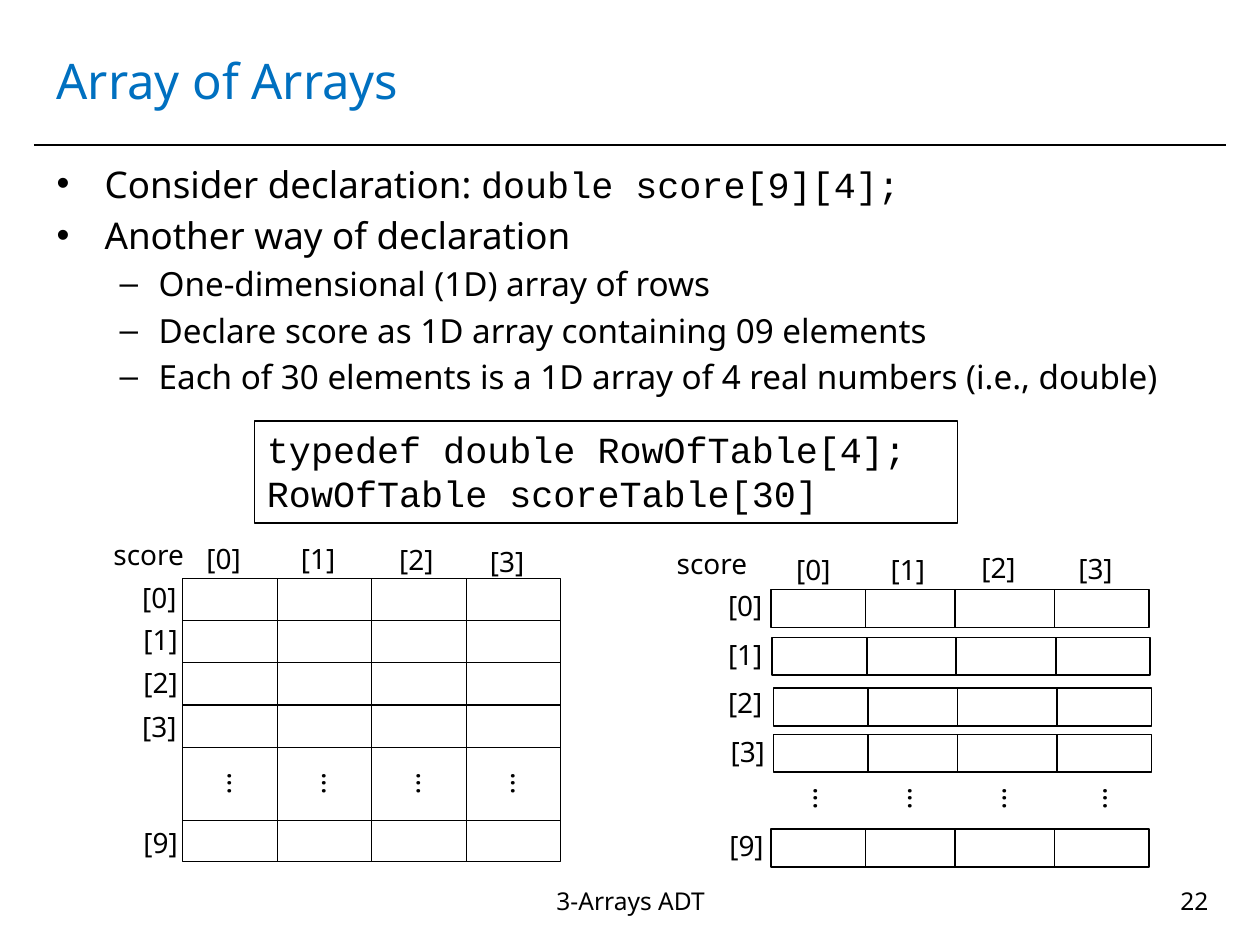
import pptx
import pptx.dml.color
import pptx.enum.shapes
import pptx.enum.text
import pptx.oxml
import pptx.oxml.ns
import pptx.util
from dataclasses import dataclass
from typing import Any, Optional

Inches = pptx.util.Inches
Pt = pptx.util.Pt
Align = pptx.enum.text.PP_ALIGN
Anchor = pptx.enum.text.MSO_ANCHOR


@dataclass(frozen=True)
class Theme:
    ink: pptx.dml.color.RGBColor = pptx.dml.color.RGBColor(0, 0, 0)
    accent: pptx.dml.color.RGBColor = pptx.dml.color.RGBColor(0x00, 0x70, 0xC0)
    sans: str = "Noto Sans"
    mono: str = "Courier New"
    title: float = 28
    body: float = 21
    detail: float = 19
    label: float = 16
    footer: float = 14
    thin: float = 0.75
    rule: float = 1


@dataclass(frozen=True)
class Label:
    text: str
    left: float
    top: float
    width: float = 0.51
    height: float = 0.37
    size: float = 16
    align: Any = Align.LEFT
    rotation: float = 0


@dataclass(frozen=True)
class Strip:
    left: float
    top: float


@dataclass(frozen=True)
class Bullet:
    level: int
    text: str
    code: str = ""


THEME = Theme()


def apply(target: Any, values: dict[str, Any]) -> None:
    for attribute, value in values.items():
        setattr(target, attribute, value)


def place(item: Any, left: float, top: float, width: float, height: float) -> None:
    apply(item, {"left": Inches(left), "top": Inches(top),
                 "width": Inches(width), "height": Inches(height)})


def write(paragraph: Any, text: str, size: float, face: str = THEME.sans,
          color: Any = THEME.ink) -> None:
    run = paragraph.add_run()
    run.text = text
    apply(run.font, {"size": Pt(size), "name": face})
    run.font.color.rgb = color


def add_label(canvas: Any, label: Label) -> None:
    box = canvas.add_textbox(*map(Inches, (label.left, label.top, label.width, label.height)))
    box.rotation = label.rotation
    box.text_frame.word_wrap = True
    paragraph = box.text_frame.paragraphs[0]
    paragraph.alignment = label.align
    write(paragraph, label.text, label.size)


def add_rule(canvas: Any, x1: float, y1: float, x2: float, y2: float, weight: float) -> None:
    rule = canvas.add_connector(pptx.enum.shapes.MSO_CONNECTOR.STRAIGHT,
                                *map(Inches, (x1, y1, x2, y2)))
    rule.line.color.rgb = THEME.ink
    rule.line.width = Pt(weight)
    properties = rule._element.spPr
    properties.append(pptx.oxml.parse_xml(f'<a:effectLst {pptx.oxml.ns.nsdecls("a")}/>'))


def add_frame(canvas: Any, left: float, top: float, width: float, height: float,
              weight: float) -> Any:
    frame = canvas.add_shape(pptx.enum.shapes.MSO_SHAPE.RECTANGLE,
                             *map(Inches, (left, top, width, height)))
    frame.shadow.inherit = False
    frame.fill.background()
    frame.line.color.rgb = THEME.ink
    frame.line.width = Pt(weight)
    return frame


def add_bullet(paragraph: Any, bullet: Bullet) -> None:
    size, margin, hang, mark = (
        (THEME.body, 0.38, 0.38, "\u2022"), (THEME.detail, 0.81, 0.31, "\u2013"))[bullet.level]
    paragraph.level = bullet.level
    properties = paragraph._p.get_or_add_pPr()
    for key, value in {"marL": Inches(margin), "indent": -Inches(hang)}.items():
        properties.set(key, str(value))
    properties.append(pptx.oxml.parse_xml(
        f'<a:buChar {pptx.oxml.ns.nsdecls("a")} char="{mark}"/>'))
    write(paragraph, bullet.text, size)
    if bullet.code:
        write(paragraph, bullet.code, size, THEME.mono)


def add_labels(canvas: Any, labels: list[Label]) -> None:
    for label in labels:
        add_label(canvas, label)


def index_labels(spots: list[tuple[float, float]], names: tuple[int, ...]) -> list[Label]:
    return [Label(f"[{name}]", left, top) for name, (left, top) in zip(names, spots)]


def ellipses(lefts: list[float], top: float) -> list[Label]:
    return [Label("...", left, top, width=0.55, rotation=90) for left in lefts]


COLUMNS = (0, 1, 2, 3)
ROWS = (0, 1, 2, 3, 9)
COLUMN_WIDTH = 0.75


def add_matrix(canvas: Any) -> None:
    left, top, height, row_height = 1.45, 4.59, 2.25, 0.335
    row_rules = [top + row_height * row for row in range(1, 5)] + [6.51]
    for column in COLUMNS:
        x = left + COLUMN_WIDTH * column
        add_frame(canvas, x, top, COLUMN_WIDTH, height, THEME.thin)
        for y in row_rules:
            add_rule(canvas, x, y, x + COLUMN_WIDTH, y, THEME.thin)
    add_labels(canvas, [Label("score", 0.71, 4.22, width=0.94, align=Align.CENTER)])
    add_labels(canvas, index_labels([(1.54, 4.25), (2.29, 4.25), (3.07, 4.26), (3.79, 4.27)], COLUMNS))
    add_labels(canvas, index_labels(
        [(1.03, 4.56), (1.04, 4.89), (1.04, 5.23), (1.03, 5.58), (1.04, 6.5)], ROWS))
    add_labels(canvas, ellipses([1.62 + COLUMN_WIDTH * column for column in COLUMNS], 6.12))


def add_row_arrays(canvas: Any) -> None:
    width, height = 3, 0.3
    strips = [Strip(6.12, 4.68), Strip(6.13, 5.06), Strip(6.14, 5.46),
              Strip(6.14, 5.83), Strip(6.12, 6.58)]
    for strip in strips:
        add_frame(canvas, strip.left, strip.top, width, height, THEME.rule)
        for offset in (0.75, 1.46, 2.25):
            x = strip.left + offset
            add_rule(canvas, x, strip.top, x, strip.top + height, THEME.rule)
    add_labels(canvas, [Label("score", 5.18, 4.29, width=0.94, align=Align.CENTER)])
    add_labels(canvas, index_labels([(6.22, 4.34), (6.97, 4.34), (7.69, 4.32), (8.46, 4.33)], COLUMNS))
    add_labels(canvas, index_labels(
        [(5.68, 4.62), (5.68, 5.01), (5.68, 5.39), (5.7, 5.78), (5.69, 6.53)], ROWS))
    add_labels(canvas, ellipses([6.27, 7.02, 7.77, 8.57], 6.24))


deck = pptx.Presentation()
apply(deck, {"slide_width": Inches(10), "slide_height": Inches(7.5)})
slide = deck.slides.add_slide(deck.slide_layouts[1])
heading, points = slide.placeholders[0], slide.placeholders[1]
place(heading, 0.35, 0.21, 9.29, 0.85)
place(points, 0.35, 1.23, 9.29, 2.05)
for holder, anchor in ((heading, Anchor.MIDDLE), (points, Anchor.TOP)):
    apply(holder.text_frame, {"auto_size": pptx.enum.text.MSO_AUTO_SIZE.NONE,
                              "word_wrap": True, "vertical_anchor": anchor})
heading.text_frame.paragraphs[0].alignment = Align.LEFT
write(heading.text_frame.paragraphs[0], "Array of Arrays", THEME.title, color=THEME.accent)

bullets = [
    Bullet(0, "Consider declaration: ", "double score[9][4];"),
    Bullet(0, "Another way of declaration"),
    Bullet(1, "One-dimensional (1D) array of rows"),
    Bullet(1, "Declare score as 1D array containing 09 elements"),
    Bullet(1, "Each of 30 elements is a 1D array of 4 real numbers (i.e., double)"),
]
for number, bullet in enumerate(bullets):
    text = points.text_frame
    add_bullet(text.add_paragraph() if number else text.paragraphs[0], bullet)

add_rule(slide.shapes, 0.27, 1.15, 9.73, 1.15, THEME.rule)
add_labels(slide.shapes, [
    Label("3-Arrays ADT", 3.35, 6.98, 3.31, 0.52, THEME.footer, Align.CENTER),
    Label("22", 7.36, 6.98, 2.33, 0.52, THEME.footer, Align.RIGHT),
])
add_matrix(slide.shapes.add_group_shape().shapes)
add_row_arrays(slide.shapes.add_group_shape().shapes)

declaration = add_frame(slide.shapes, 2.02, 3.34, 5.58, 0.81, THEME.rule).text_frame
apply(declaration, {"word_wrap": True, "vertical_anchor": Anchor.TOP})
for number, code in enumerate(("typedef double RowOfTable[4];", "RowOfTable scoreTable[30]")):
    line = declaration.add_paragraph() if number else declaration.paragraphs[0]
    line.alignment = Align.LEFT
    write(line, code, THEME.body, THEME.mono)

deck.save("out.pptx")
